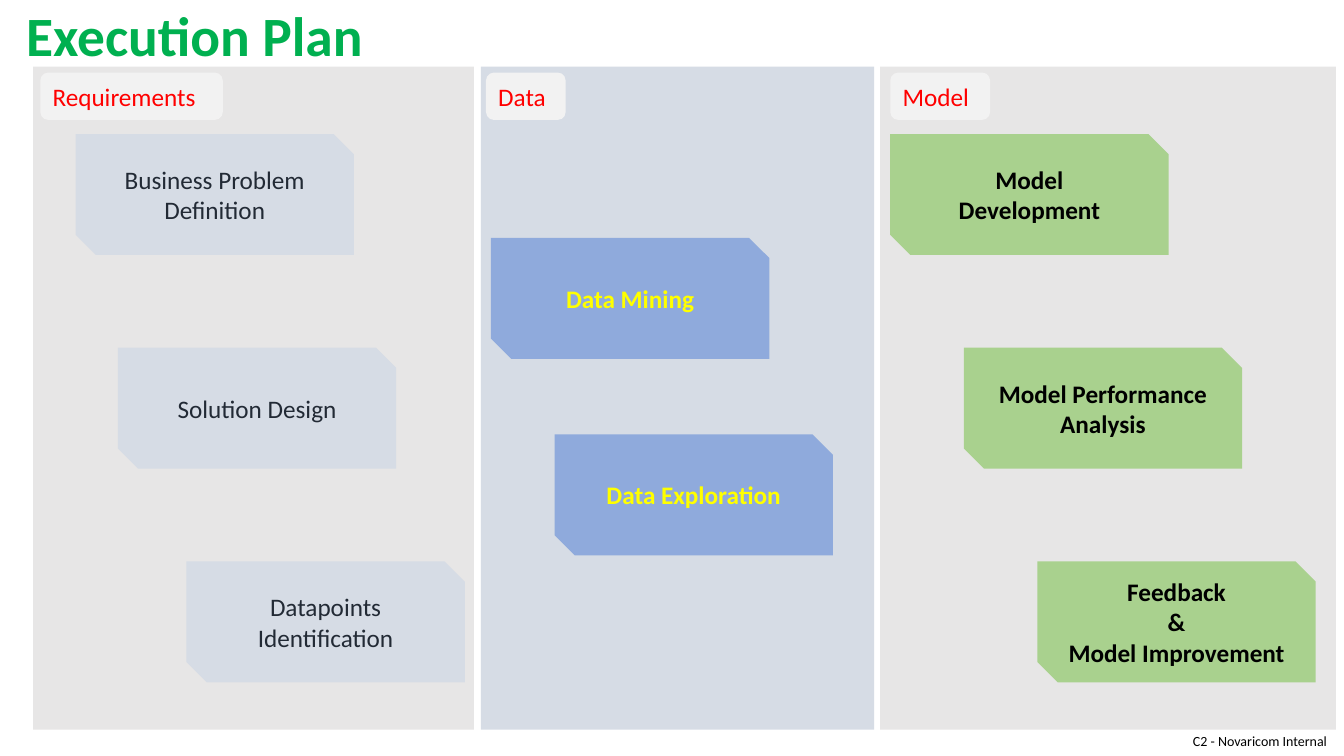
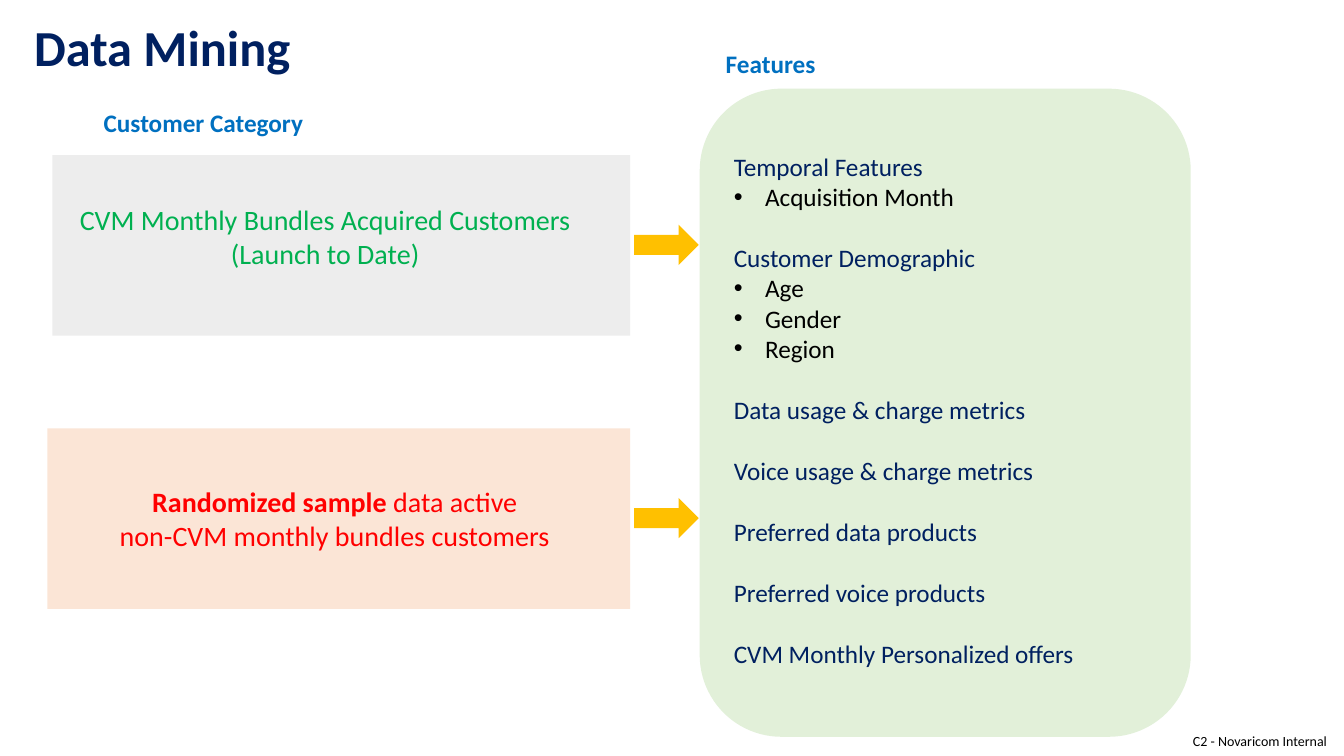
from pptx import Presentation
from pptx.dml.color import RGBColor
from pptx.enum.shapes import MSO_SHAPE
from pptx.enum.text import MSO_ANCHOR, PP_ALIGN
from pptx.oxml.ns import qn
from pptx.util import Pt
from lxml import etree

PX = 9144
FACE = "Calibri"
RECT = MSO_SHAPE.RECTANGLE
ROUND = MSO_SHAPE.ROUNDED_RECTANGLE
SNIP = MSO_SHAPE.SNIP_2_DIAG_RECTANGLE
ARROW = MSO_SHAPE.RIGHT_ARROW
TOP, MID = MSO_ANCHOR.TOP, MSO_ANCHOR.MIDDLE
LEFT, CENTER, RIGHT = PP_ALIGN.LEFT, PP_ALIGN.CENTER, PP_ALIGN.RIGHT

BLACK = RGBColor(0x00, 0x00, 0x00)
RED = RGBColor(0xFF, 0x00, 0x00)
YELLOW = RGBColor(0xFF, 0xFF, 0x00)
GREEN = RGBColor(0x00, 0xB0, 0x50)
NAVY = RGBColor(0x00, 0x20, 0x60)
BLUE = RGBColor(0x00, 0x70, 0xC0)
SLATE = RGBColor(0x22, 0x2A, 0x35)
GRAY = RGBColor(0xE7, 0xE6, 0xE6)
MIST = RGBColor(0xD6, 0xDC, 0xE5)
PALE = RGBColor(0xF2, 0xF2, 0xF2)
SILVER = RGBColor(0xED, 0xED, 0xED)
SKY = RGBColor(0x8F, 0xAA, 0xDC)
LEAF = RGBColor(0xA9, 0xD1, 0x8E)
MINT = RGBColor(0xE2, 0xF0, 0xD9)
PEACH = RGBColor(0xFB, 0xE5, 0xD6)
GOLD = RGBColor(0xFF, 0xC0, 0x00)

PLAN = [
    ((33, 66, 437, 658), GRAY, ("Requirements", 7, 181), (MIST, SLATE, False),
     (67, 212), [(42, "Business Problem Definition"), (84, "Solution Design"),
                 (152, "Datapoints\nIdentification")]),
    ((477, 66, 390, 658), MIST, ("Data", 5, 79), (SKY, YELLOW, True),
     (170, 195), [(10, "Data Mining"), (73, "Data Exploration")]),
    ((873, 66, 452, 658), GRAY, ("Model", 10, 99), (LEAF, BLACK, True),
     (67, 212), [(10, "Model\nDevelopment"), (83, "Model Performance\nAnalysis"),
                 (156, "Feedback\n&\nModel Improvement")]),
]
TRAITS = [
    ("Temporal Features", ["Acquisition Month"]),
    ("Customer Demographic", ["Age", "Gender", "Region"]),
    ("Data usage & charge metrics", []),
    ("Voice usage & charge metrics", []),
    ("Preferred data products", []),
    ("Preferred voice products", []),
    ("CVM Monthly Personalized offers", []),
]


def scale(box):
    """Turn a px box into EMU."""
    return [n * PX for n in box]


def style(para, size, color, bold=False, align=LEFT):
    """Set the font and alignment of a paragraph."""
    font = para.font
    font.name, font.size, font.bold = FACE, Pt(size), bold
    font.color.rgb = color
    para.alignment = align


def write(frame, text, size, color, bold=False, align=LEFT, anchor=MID):
    """Fill a text frame with one paragraph per line of text."""
    frame.word_wrap = True
    frame.vertical_anchor = anchor
    for i, line in enumerate(text.split("\n")):
        para = frame.add_paragraph() if i else frame.paragraphs[0]
        para.text = line
        style(para, size, color, bold, align)


def shape(slide, kind, box, fill):
    """Add a flat filled shape without a line."""
    item = slide.shapes.add_shape(kind, *scale(box))
    item.shadow.inherit = False
    item.fill.solid()
    item.fill.fore_color.rgb = fill
    item.line.fill.background()
    return item


def label(slide, box, *args, **keys):
    """Add a text box and return its frame."""
    frame = slide.shapes.add_textbox(*scale(box)).text_frame
    write(frame, *args, **keys)
    return frame


def page(deck, title, box, size, color):
    """Add a slide with its title and footer."""
    slide = deck.slides.add_slide(deck.slide_layouts[6])
    frame = label(slide, (1155, 721, 161, 29), "C2 - Novaricom Internal", 10, BLACK, align=RIGHT)
    frame.margin_left = frame.margin_right = 0
    frame.margin_top = frame.margin_bottom = 0
    head = label(slide, box, title, size, color, bold=True)
    head.paragraphs[0].line_spacing = 0.9
    return slide


def column(slide, box, fill, tag, look, rows, steps):
    """Draw one stage panel with its tag and staggered steps."""
    x, y = box[:2]
    shape(slide, RECT, box, fill)
    tint, ink, bold = look
    first, pitch = rows
    for i, (dx, text) in enumerate(steps):
        card = shape(slide, SNIP, (x + dx, y + first + i * pitch, 276, 120), tint)
        write(card.text_frame, text, 18, ink, bold, CENTER)
    name, dx, wide = tag
    chip = shape(slide, ROUND, (x + dx, y + 6, wide, 47), PALE)
    write(chip.text_frame, name, 18, RED)


def group(slide, box, fill, inset, text, color):
    """Draw a customer group with its arrow and return its text frame."""
    x, y, w, h = box
    dx, dy, wide = inset
    shape(slide, RECT, box, fill)
    shape(slide, ARROW, (x + w + 4, y + h // 2 - 20, 64, 40), GOLD)
    return label(slide, (x + dx, y + dy, wide, 77), text, 20, color, align=CENTER, anchor=TOP)


def bullet(para):
    """Give a paragraph a hanging bullet."""
    props = para._p.get_or_add_pPr()
    props.set("marL", str(31 * PX))
    props.set("indent", str(-31 * PX))
    etree.SubElement(props, qn("a:buFont")).set("typeface", "Arial")
    etree.SubElement(props, qn("a:buChar")).set("char", "•")


def traits(slide, box):
    """Draw the feature panel with its grouped list."""
    x, y, w, h = box
    shape(slide, ROUND, box, MINT)
    label(slide, (x + 16, y - 45, 227, 40), "Features", 18, BLUE, bold=True, anchor=TOP)
    frame = slide.shapes.add_textbox(*scale((x + 24, y + 57, 360, 525))).text_frame
    frame.word_wrap = True
    for i, (name, items) in enumerate(TRAITS):
        para = frame.add_paragraph() if i else frame.paragraphs[0]
        para.text = name
        style(para, 18, NAVY)
        if i:
            para.space_before = Pt(22)
        for item in items:
            para = frame.add_paragraph()
            para.text = item
            style(para, 18, BLACK)
            bullet(para)


def plan(deck):
    """Build the execution plan slide."""
    slide = page(deck, "Execution Plan", (16, 10, 454, 56), 39.6, GREEN)
    for part in PLAN:
        column(slide, *part)


def mining(deck):
    """Build the data mining slide."""
    slide = page(deck, "Data Mining", (24, 20, 296, 59), 36, NAVY)
    traits(slide, (694, 88, 487, 643))
    label(slide, (93, 102, 227, 40), "Customer Category", 18, BLUE, bold=True, anchor=TOP)
    group(slide, (52, 154, 573, 179), SILVER, (0, 42, 541),
          "CVM Monthly Bundles Acquired Customers (Launch to Date)", GREEN)
    frame = group(slide, (47, 425, 578, 179), PEACH, (5, 51, 560),
                  "Randomized sample\nnon-CVM monthly bundles customers", RED)
    para = frame.paragraphs[0]
    para.runs[0].font.bold = True
    para.add_run().text = " data active"


def main():
    """Build and save the deck."""
    deck = Presentation()
    deck.slide_width, deck.slide_height = scale((1333, 750))
    plan(deck)
    mining(deck)
    deck.save("out.pptx")


if __name__ == "__main__":
    main()
